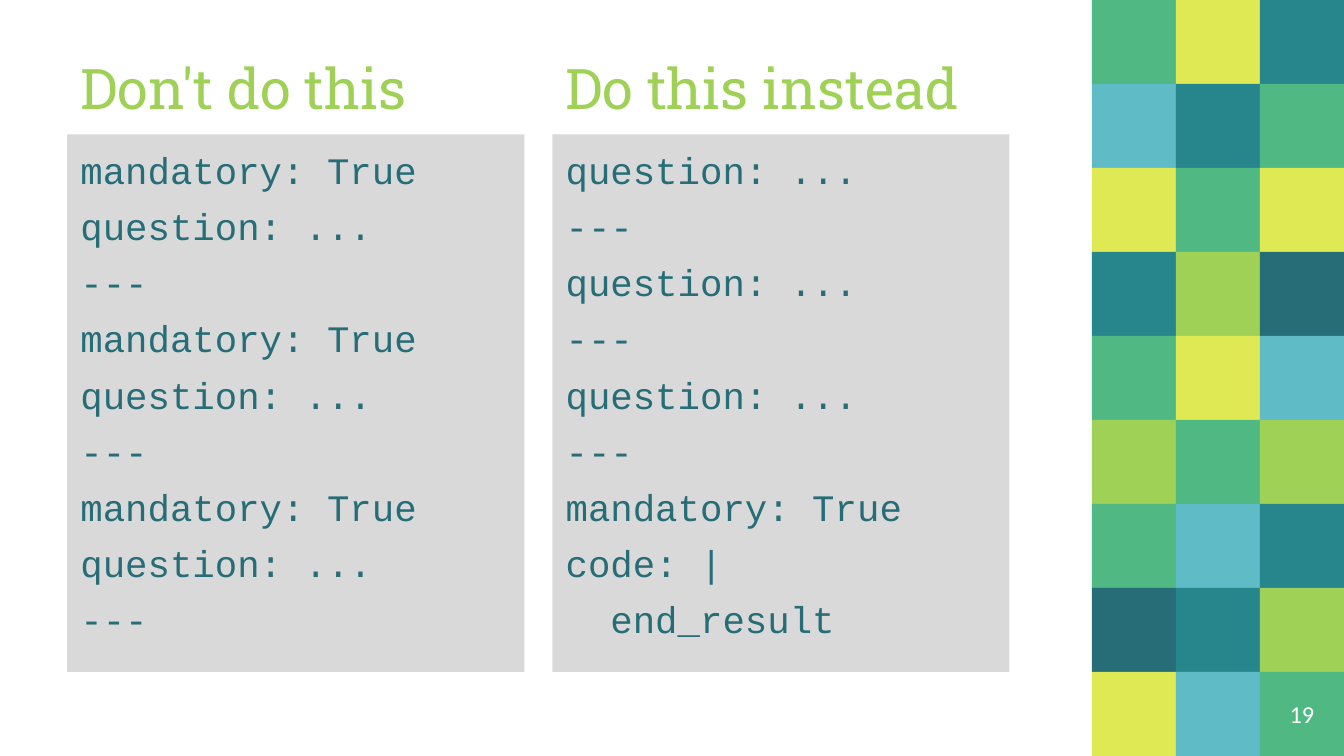
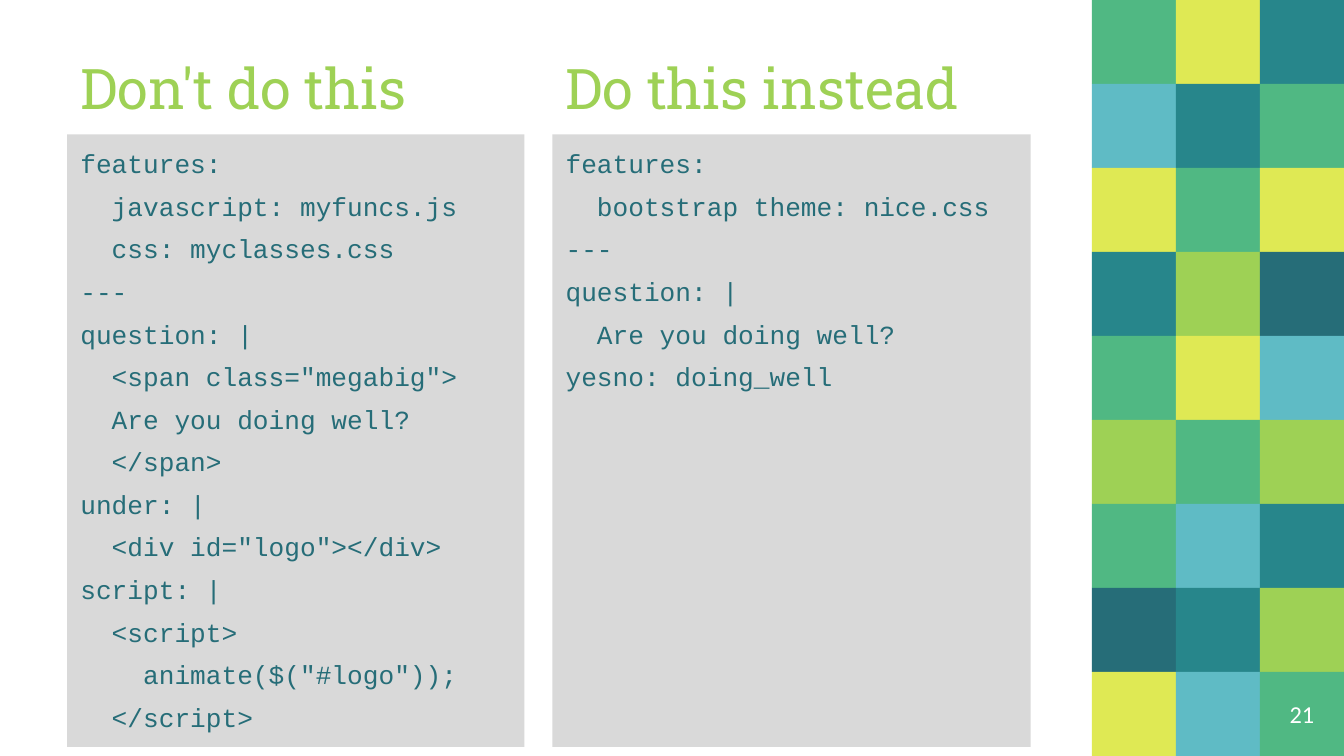
from pptx import Presentation
from pptx.dml.color import RGBColor
from pptx.enum.shapes import MSO_SHAPE
from pptx.enum.text import MSO_ANCHOR, MSO_AUTO_SIZE, PP_ALIGN
from pptx.util import Cm, Pt

LIME, NAVY, YELLOW = "9ED155", "266D78", "DFE954"
GREEN, TEAL, SKY = "50B883", "27868B", "5FBBC5"
GREY, WHITE = "D9D9D9", "FFFFFF"

WIDTH, HEIGHT = 25.4, 14.29
MOSAIC = [
    (GREEN, YELLOW, TEAL),
    (SKY, TEAL, GREEN),
    (YELLOW, GREEN, YELLOW),
    (TEAL, LIME, NAVY),
    (GREEN, YELLOW, SKY),
    (LIME, GREEN, LIME),
    (GREEN, SKY, TEAL),
    (NAVY, TEAL, LIME),
    (YELLOW, SKY, GREEN),
]
TILE = HEIGHT / len(MOSAIC)
MOSAIC_LEFT = WIDTH - 3 * TILE

COLUMN_LEFTS = (1.27, 10.44)
COLUMN_WIDTH = 8.64
HEADING_TOP, CODE_TOP = 0.15, 2.54

HEADING_FONT = {"name": "Roboto Slab", "size": Pt(30)}
NUMBER_FONT = {"name": "Calibri", "size": Pt(13)}
HEADING_PARAGRAPH = {"alignment": PP_ALIGN.LEFT}
CODE_PARAGRAPH = {"alignment": PP_ALIGN.LEFT, "space_before": Pt(6)}
NUMBER_PARAGRAPH = {"alignment": PP_ALIGN.CENTER}
FRAME = {
    "word_wrap": True,
    "auto_size": MSO_AUTO_SIZE.NONE,
    "margin_left": Cm(0.25),
    "margin_right": Cm(0.25),
    "margin_top": Cm(0.25),
    "margin_bottom": Cm(0.25),
}

COMPARISONS = [
    {
        "number": "19",
        "code_size": 20,
        "code_height": 10.16,
        "code_widths": (COLUMN_WIDTH, COLUMN_WIDTH),
        "avoid": ["mandatory: True", "question: ...", "---"] * 3,
        "prefer": ["question: ...", "---"] * 3
        + ["mandatory: True", "code: |", "  end_result"],
    },
    {
        "number": "21",
        "code_size": 14,
        "code_height": 11.58,
        "code_widths": (COLUMN_WIDTH, 9.04),
        "avoid": [
            "features:",
            "  javascript: myfuncs.js",
            "  css: myclasses.css",
            "---",
            "question: |",
            '  <span class="megabig">',
            "  Are you doing well?",
            "  </span>",
            "under: |",
            '  <div id="logo"></div>',
            "script: |",
            "  <script>",
            '    animate($("#logo"));',
            "  </script>",
        ],
        "prefer": [
            "features:",
            "  bootstrap theme: nice.css",
            "---",
            "question: |",
            "  Are you doing well?",
            "yesno: doing_well",
        ],
    },
]


def paint(fill, color):
    fill.solid()
    fill.fore_color.rgb = RGBColor.from_string(color)


def write(shape, lines, color, anchor, paragraph_format, font_format):
    frame = shape.text_frame
    for key, value in {**FRAME, "vertical_anchor": anchor}.items():
        setattr(frame, key, value)
    frame.text = "\n".join(lines)
    for paragraph in frame.paragraphs:
        for key, value in paragraph_format.items():
            setattr(paragraph, key, value)
        font = paragraph.runs[0].font
        for key, value in font_format.items():
            setattr(font, key, value)
        paint(font.fill, color)


deck = Presentation()
deck.slide_width, deck.slide_height = Cm(WIDTH), Cm(HEIGHT)
title_only = deck.slide_layouts[5]
paint(deck.slide_master.background.fill, WHITE)
slides = [deck.slides.add_slide(title_only) for _ in COMPARISONS]

for row, colors in enumerate(MOSAIC):
    for column, color in enumerate(colors):
        tile = slides[0].shapes.add_shape(
            MSO_SHAPE.RECTANGLE,
            Cm(MOSAIC_LEFT + column * TILE), Cm(row * TILE), Cm(TILE), Cm(TILE),
        )
        tile.shadow.inherit = False
        paint(tile.fill, color)
        tile.line.fill.background()
        title_only.shapes._spTree.append(tile._element)

for slide, comparison in zip(slides, COMPARISONS):
    number = slide.shapes.add_textbox(
        Cm(WIDTH - TILE), Cm(HEIGHT - TILE), Cm(TILE), Cm(TILE)
    )
    write(number, [comparison["number"]], WHITE, MSO_ANCHOR.MIDDLE,
          NUMBER_PARAGRAPH, NUMBER_FONT)

    avoid_heading = slide.shapes.title
    prefer_heading = slide.shapes.add_textbox(0, 0, 0, 0)
    headings = [(avoid_heading, "Don't do this"), (prefer_heading, "Do this instead")]
    for left, (heading, wording) in zip(COLUMN_LEFTS, headings):
        place = {
            "left": Cm(left),
            "top": Cm(HEADING_TOP),
            "width": Cm(COLUMN_WIDTH),
            "height": Cm(CODE_TOP - HEADING_TOP),
        }
        for key, value in place.items():
            setattr(heading, key, value)
        write(heading, [wording], LIME, MSO_ANCHOR.BOTTOM, HEADING_PARAGRAPH, HEADING_FONT)

    code_font = {"name": "Courier New", "size": Pt(comparison["code_size"])}
    for left, width, side in zip(COLUMN_LEFTS, comparison["code_widths"], ("avoid", "prefer")):
        code = slide.shapes.add_shape(
            MSO_SHAPE.RECTANGLE,
            Cm(left), Cm(CODE_TOP), Cm(width), Cm(comparison["code_height"]),
        )
        code.shadow.inherit = False
        paint(code.fill, GREY)
        code.line.fill.background()
        write(code, comparison[side], NAVY, MSO_ANCHOR.TOP, CODE_PARAGRAPH, code_font)

deck.save("out.pptx")
